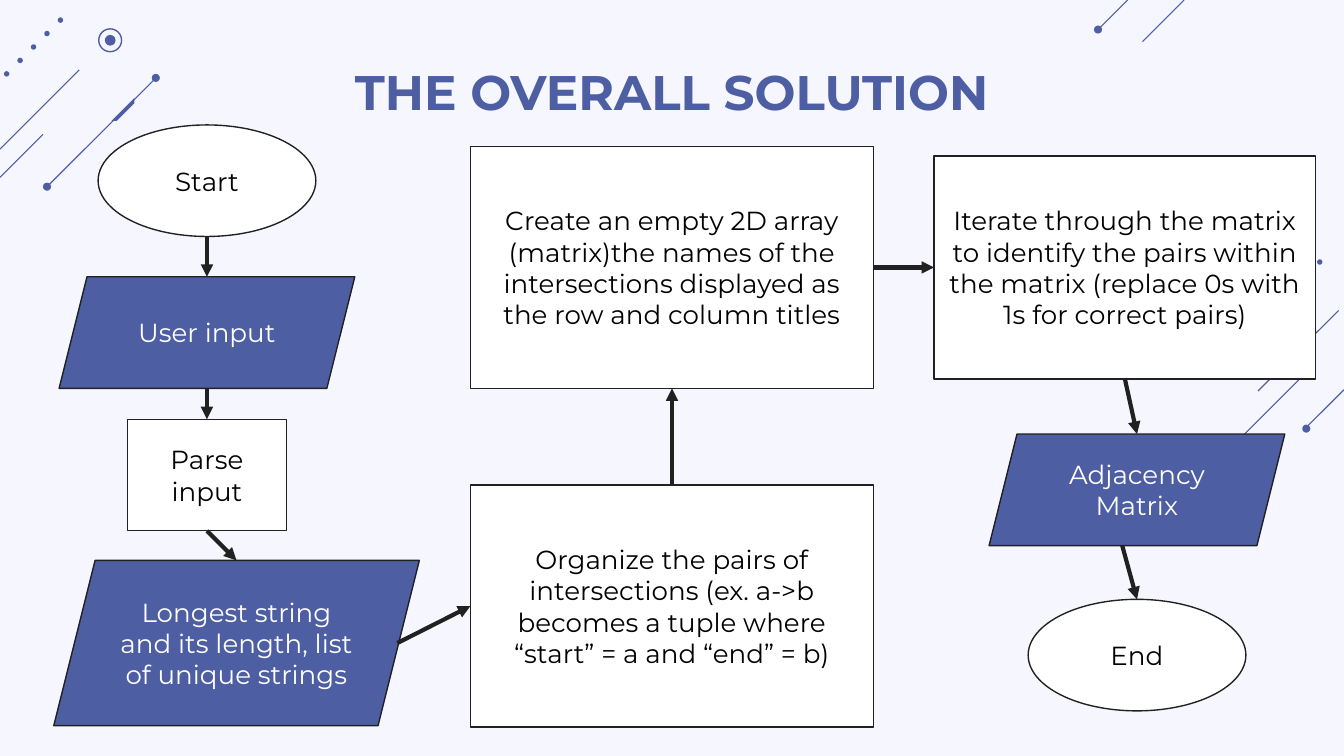
from lxml import etree
from pptx import Presentation
from pptx.dml.color import RGBColor
from pptx.enum.shapes import MSO_CONNECTOR, MSO_SHAPE
from pptx.enum.text import MSO_ANCHOR, PP_ALIGN
from pptx.oxml.ns import qn
from pptx.util import Inches, Pt

OVAL, RECT, DATA = MSO_SHAPE.OVAL, MSO_SHAPE.RECTANGLE, MSO_SHAPE.PARALLELOGRAM
STRAIGHT = MSO_CONNECTOR.STRAIGHT
CENTER, TOP, MIDDLE = PP_ALIGN.CENTER, MSO_ANCHOR.TOP, MSO_ANCHOR.MIDDLE
BLUE, INK, WHITE, BLACK, PALE = "4E5EA3", "212121", "FFFFFF", "000000", "F6F6FF"

TITLE = "THE OVERALL SOLUTION"
NODES = {
    "start": (OVAL, 0.73, 0.93, 1.62, 0.83, "Start"),
    "input": (DATA, 0.44, 2.06, 2.2, 0.83, "User input"),
    "parse": (RECT, 0.95, 3.12, 1.18, 0.83, "Parse input"),
    "strings": (DATA, 0.4, 4.17, 2.72, 1.23,
                "Longest string and its length, list of unique strings"),
    "pairs": (RECT, 3.5, 3.61, 3, 1.8,
              "Organize the pairs of intersections (ex. a->b becomes a tuple "
              "where “start” = a and “end” = b)"),
    "array": (RECT, 3.5, 1.09, 3, 1.8,
              "Create an empty 2D array (matrix)the names of the intersections "
              "displayed as the row and column titles"),
    "iterate": (RECT, 6.95, 1.16, 2.84, 1.66,
                "Iterate through the matrix to identify the pairs within the "
                "matrix (replace 0s with 1s for correct pairs)"),
    "matrix": (DATA, 7.36, 3.23, 2.2, 0.83, "Adjacency Matrix"),
    "end": (OVAL, 7.65, 4.46, 1.62, 0.83, "End"),
}
SIDES = {"top": (0.5, 0), "bottom": (0.5, 1), "left": (0, 0.5), "right": (1, 0.5),
         "slant right": (0.94, 0.5), "slant bottom": (0.45, 1)}
ARROWS = [
    ("start", "bottom", "input", "top"),
    ("input", "bottom", "parse", "top"),
    ("parse", "bottom", "strings", "top"),
    ("strings", "slant right", "pairs", "left"),
    ("pairs", "top", "array", "bottom"),
    ("array", "right", "iterate", "left"),
    ("iterate", "bottom", "matrix", "top"),
    ("matrix", "slant bottom", "end", "top"),
]
DIAGONALS = [(0.59, 0.52, 0.59), (0.32, 1, 0.32), (1.16, 0.58, 0.81), (9.96, 2.31, 0.6),
             (9.69, 2.8, 0.59), (10, 2.9, 0.29), (8.81, 0, 0.31), (8.39, 0, 0.22)]
DOTS = [(9.82, 1.95, 0.04), (9.72, 3.19, 0.06), (0.82, 0.3, 0.08), (1.16, 0.58, 0.06),
        (0.35, 1.39, 0.06), (8.17, 0.22, 0.06)]
DOTS += [(0.45 - 0.1 * i, 0.15 + 0.1 * i, 0.04) for i in range(5)]
RING = (0.82, 0.3, 0.17)
STROKE = [(1, 0.73), (0.83, 0.9), (0.87, 0.9), (1, 0.77)]


def rgb(value):
    return RGBColor.from_string(value)


def paint(sp, fill=None, line=None, width=0.75):
    sp.shadow.inherit = False
    for fmt, color in ((sp.fill, fill), (sp.line.fill, line)):
        if color:
            fmt.solid()
            fmt.fore_color.rgb = rgb(color)
        else:
            fmt.background()
    if line:
        sp.line.width = Pt(width)


def write(sp, text, size, color, bold=False, anchor=MIDDLE, inset=0.1):
    tf = sp.text_frame
    frame = {"word_wrap": True, "vertical_anchor": anchor,
             "margin_left": Inches(0.1), "margin_right": Inches(0.1),
             "margin_top": Inches(inset), "margin_bottom": Inches(inset)}
    for name, value in frame.items():
        setattr(tf, name, value)
    p = tf.paragraphs[0]
    p.alignment = CENTER
    r = p.add_run()
    r.text = text
    for name, value in {"name": "Montserrat", "size": Pt(size), "bold": bold}.items():
        setattr(r.font, name, value)
    r.font.color.rgb = rgb(color)


def add_line(shapes, start, end, color, width, arrow=False):
    cn = shapes.add_connector(STRAIGHT, *map(Inches, (*start, *end)))
    cn.line.color.rgb = rgb(color)
    cn.line.width = Pt(width)
    props = cn.element.spPr
    if arrow:
        etree.SubElement(props.find(qn("a:ln")), qn("a:tailEnd"), type="triangle")
    etree.SubElement(props, qn("a:effectLst"))


def add_circle(shapes, x, y, d, **colors):
    sp = shapes.add_shape(OVAL, *map(Inches, (x - d / 2, y - d / 2, d, d)))
    paint(sp, **colors)


def site(node, side):
    x, y, w, h = NODES[node][1:5]
    fx, fy = SIDES[side]
    return x + fx * w, y + fy * h


def add_decoration(shapes):
    for x, y, d in DIAGONALS:
        add_line(shapes, (x, y), (x - d, y + d), BLUE, 0.6)
    for dot in DOTS:
        add_circle(shapes, *dot, fill=BLUE)
    add_circle(shapes, *RING, line=BLUE)
    points = [(Inches(x), Inches(y)) for x, y in STROKE]
    fb = shapes.build_freeform(*points[0])
    fb.add_line_segments(points[1:])
    paint(fb.convert_to_shape(), fill=BLUE)


def main():
    """Build the flowchart slide."""
    prs = Presentation()
    prs.slide_width, prs.slide_height = Inches(10), Inches(10 * 9 / 16)
    s = prs.slides.add_slide(prs.slide_layouts[6])
    s.background.fill.solid()
    s.background.fill.fore_color.rgb = rgb(PALE)
    add_decoration(s.shapes)

    title = s.shapes.add_textbox(*map(Inches, (0.56, 0.46, 8.88, 0.63)))
    write(title, TITLE, 26, BLUE, bold=True, anchor=TOP, inset=0)

    for kind, x, y, w, h, text in NODES.values():
        sp = s.shapes.add_shape(kind, *map(Inches, (x, y, w, h)))
        fill, color = (BLUE, WHITE) if kind == DATA else (WHITE, BLACK)
        paint(sp, fill=fill, line=INK)
        write(sp, text, 14, color)
    for source, out, target, into in ARROWS:
        add_line(s.shapes, site(source, out), site(target, into), INK, 2.25, arrow=True)
    prs.save("out.pptx")


if __name__ == "__main__":
    main()
